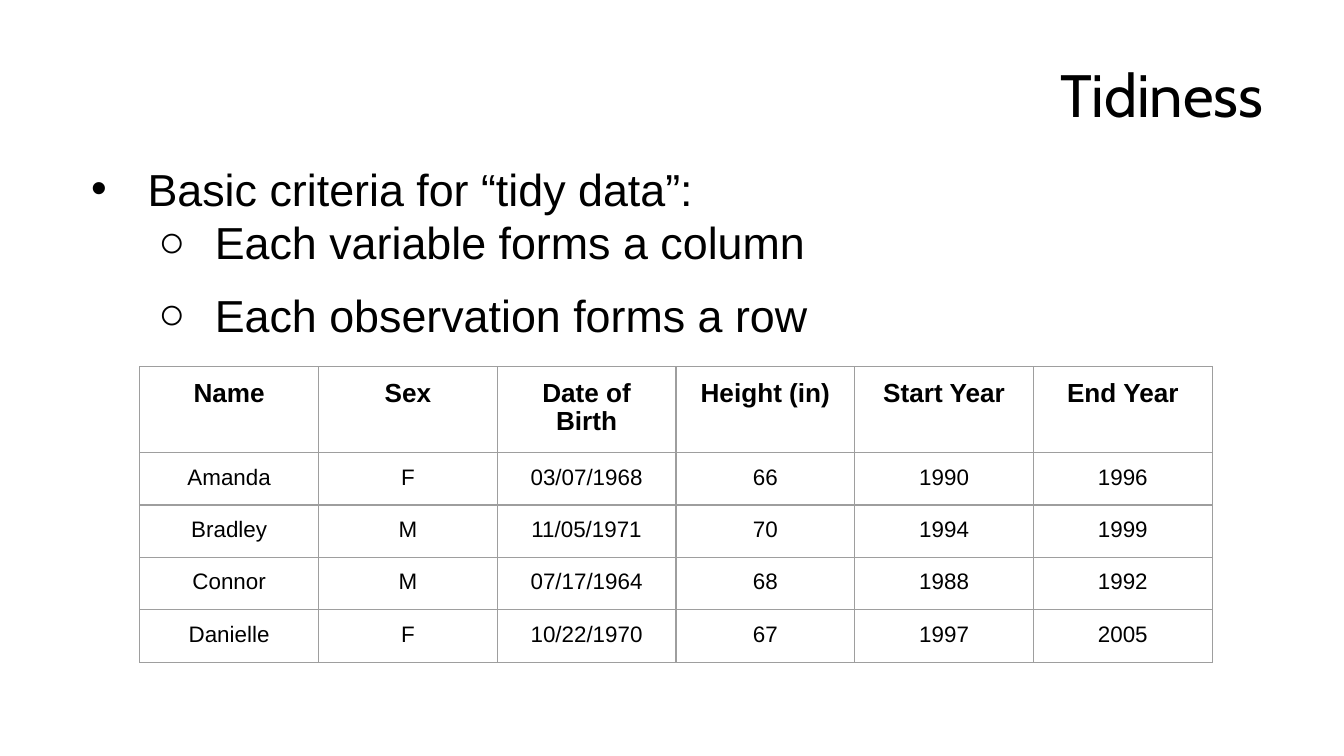
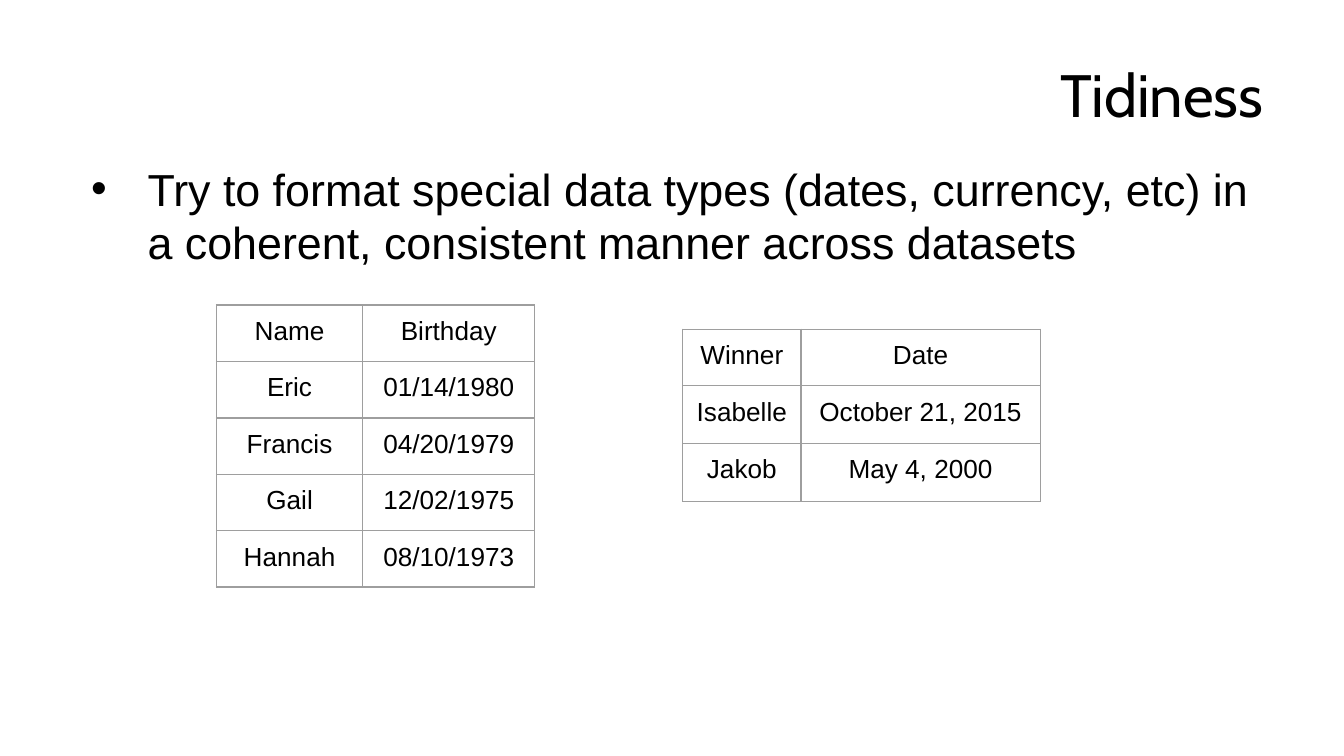
import pptx
import pptx.dml.color
import pptx.enum.text
import pptx.oxml
import pptx.oxml.ns
import pptx.util
from pptx.util import Inches

# Content
SLIDES = [
    {
        "title": "Tidiness",
        "body_size": (5.8, 1.5),
        "bullets": [
            (0, "Basic criteria for “tidy data”:", 0),
            (1, "Each variable forms a column", 0),
            (1, "Each observation forms a row", 10),
        ],
        "tables": [{
            "at": (1.04, 2.73),
            "cols": [1.33] * 6,
            "heights": [0.42, 0.37, 0.39, 0.39, 0.39],
            "style": ("heading", "cell_small"),
            "rows": [
                ("Name", "Sex", "Date of Birth", "Height (in)", "Start Year", "End Year"),
                ("Amanda", "F", "03/07/1968", "66", "1990", "1996"),
                ("Bradley", "M", "11/05/1971", "70", "1994", "1999"),
                ("Connor", "M", "07/17/1964", "68", "1988", "1992"),
                ("Danielle", "F", "10/22/1970", "67", "1997", "2005"),
            ],
        }],
    },
    {
        "title": "Tidiness",
        "body_size": (9, 3.71),
        "bullets": [
            (0, "Try to format special data types (dates, currency, etc) in "
                "a coherent, consistent manner across datasets", 0),
        ],
        "tables": [
            {
                "at": (1.61, 2.27),
                "cols": [1.09, 1.28],
                "heights": [0.42] * 5,
                "style": ("cell", "cell"),
                "rows": [
                    ("Name", "Birthday"),
                    ("Eric", "01/14/1980"),
                    ("Francis", "04/20/1979"),
                    ("Gail", "12/02/1975"),
                    ("Hannah", "08/10/1973"),
                ],
            },
            {
                "at": (5.08, 2.45),
                "cols": [0.88, 1.78],
                "heights": [0.42, 0.43, 0.43],
                "style": ("cell", "cell"),
                "rows": [
                    ("Winner", "Date"),
                    ("Isabelle", "October 21, 2015"),
                    ("Jakob", "May 4, 2000"),
                ],
            },
        ],
    },
]

# Theme: colours, fonts and sizes
THEME = {
    "text": "000000",
    "background": "FFFFFF",
    "border": "9E9E9E",
    "border_pt": 0.75,
    "inset": 0.1,
    "cell_spacing": 0.94,
    "fonts": {
        "title": {"name": "Cabin", "size": 32, "bold": False},
        "body": {"name": "Arial", "size": 24, "bold": False},
        "heading": {"name": "Arial", "size": 14, "bold": True},
        "cell": {"name": "Arial", "size": 14, "bold": False},
        "cell_small": {"name": "Arial", "size": 12, "bold": False},
    },
    "bullets": ("•", "○"),
    "indents": (0.5, 1),
    "hanging": -0.42,
}
ALIGN = pptx.enum.text.PP_ALIGN
ANCHOR = pptx.enum.text.MSO_ANCHOR


def rgb(name):
    return pptx.dml.color.RGBColor.from_string(THEME[name])


def xml(tag, content):
    return pptx.oxml.parse_xml(
        f'<a:{tag} {pptx.oxml.ns.nsdecls("a")}{content}</a:{tag}>')


def set_insets(obj):
    for side in ("left", "top", "right", "bottom"):
        setattr(obj, f"margin_{side}", Inches(THEME["inset"]))


def write(p, text, style, align):
    p.alignment = align
    r = p.add_run()
    r.text = text
    formats = dict(THEME["fonts"][style])
    formats["size"] = pptx.util.Pt(formats["size"])
    for key, value in formats.items():
        setattr(r.font, key, value)
    r.font.color.rgb = rgb("text")


def add_text_box(slide, left, top, width, height, anchor):
    sp = slide.shapes.add_textbox(*map(Inches, (left, top, width, height)))
    tf = sp.text_frame
    tf.word_wrap = True
    tf.vertical_anchor = anchor
    set_insets(tf)
    return tf


def add_title(slide, text):
    tf = add_text_box(slide, 0.5, 0.23, 9, 0.94, ANCHOR.MIDDLE)
    write(tf.paragraphs[0], text, "title", ALIGN.RIGHT)


def add_bullets(slide, size, bullets):
    tf = add_text_box(slide, 0.5, 1.1, *size, ANCHOR.TOP)
    for i, (level, text, before) in enumerate(bullets):
        p = tf.paragraphs[0] if i == 0 else tf.add_paragraph()
        p.level = level
        p.space_before = pptx.util.Pt(before)
        pPr = p._p.get_or_add_pPr()
        pPr.set("marL", str(Inches(THEME["indents"][level])))
        pPr.set("indent", str(Inches(THEME["hanging"])))
        pPr.append(xml("buClr", f'><a:srgbClr val="{THEME["text"]}"/>'))
        pPr.append(xml("buFont", ' typeface="Arial">'))
        pPr.append(xml("buChar", f' char="{THEME["bullets"][level]}">'))
        write(p, text, "body", ALIGN.LEFT)


def style_cell(cell):
    set_insets(cell)
    tcPr = cell._tc.get_or_add_tcPr()
    width = pptx.util.Pt(THEME["border_pt"])
    for side in ("lnL", "lnR", "lnT", "lnB"):
        tcPr.append(xml(side, f' w="{width}"><a:solidFill>'
                              f'<a:srgbClr val="{THEME["border"]}"/></a:solidFill>'))
    cell.fill.background()


def add_table(slide, data):
    rows, cols, heights = data["rows"], data["cols"], data["heights"]
    size = (*data["at"], sum(cols), sum(heights))
    table = slide.shapes.add_table(len(rows), len(cols), *map(Inches, size)).table
    table.first_row = table.horz_banding = False
    for column, width in zip(table.columns, cols):
        column.width = Inches(width)
    for row, height, texts in zip(table.rows, heights, rows):
        row.height = Inches(height)
        style = data["style"][0 if texts is rows[0] else 1]
        for cell, text in zip(row.cells, texts):
            style_cell(cell)
            p = cell.text_frame.paragraphs[0]
            p.line_spacing = THEME["cell_spacing"]
            write(p, text, style, ALIGN.CENTER)


def main():
    prs = pptx.Presentation()
    prs.slide_width = Inches(10)
    prs.slide_height = prs.slide_width * 9 // 16
    for data in SLIDES:
        slide = prs.slides.add_slide(prs.slide_layouts[6])
        slide.background.fill.solid()
        slide.background.fill.fore_color.rgb = rgb("background")
        add_title(slide, data["title"])
        add_bullets(slide, data["body_size"], data["bullets"])
        for table in data["tables"]:
            add_table(slide, table)
    prs.save("out.pptx")


if __name__ == "__main__":
    main()
